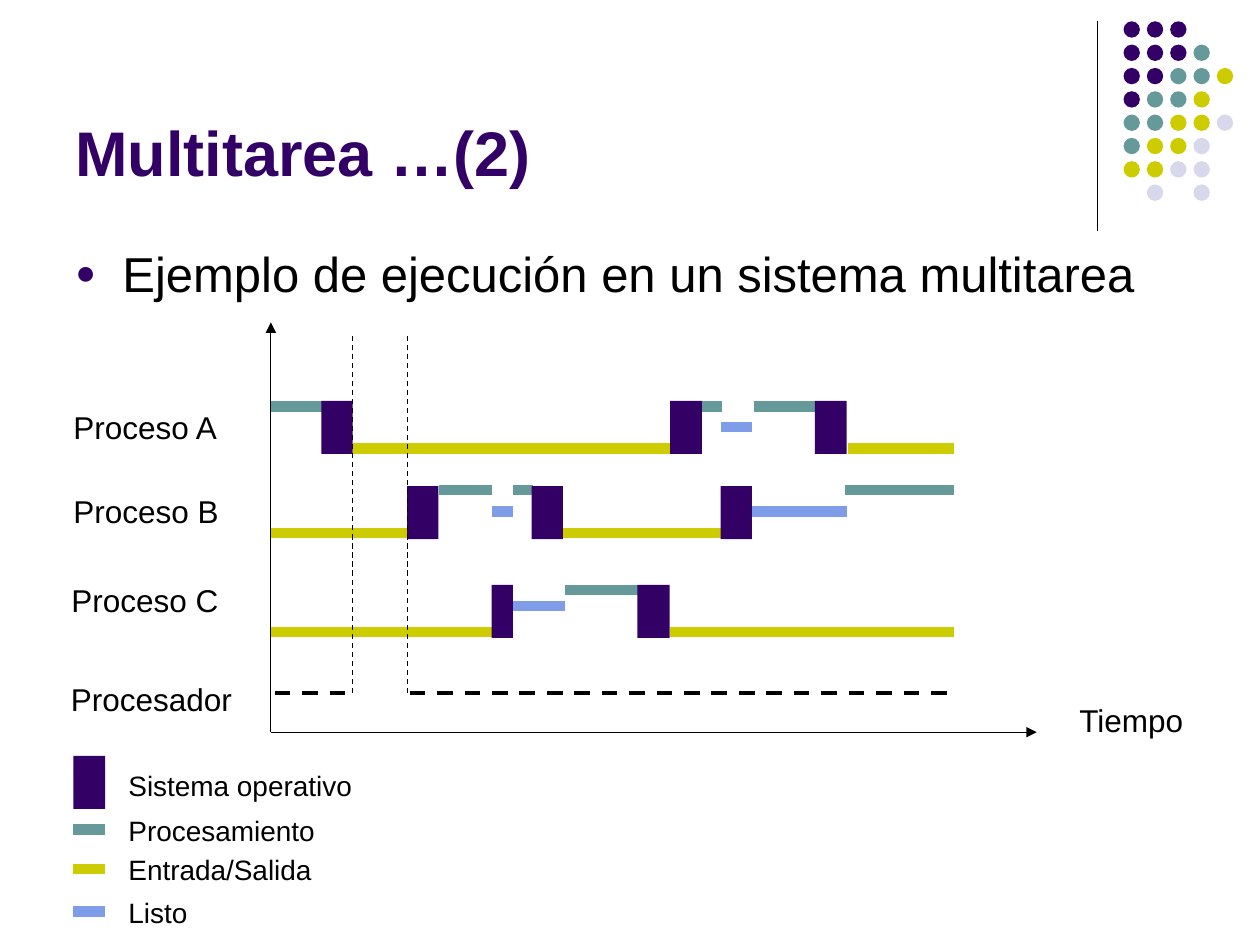
from lxml import etree
from pptx import Presentation
from pptx.dml.color import RGBColor
from pptx.enum.dml import MSO_LINE
from pptx.enum.shapes import MSO_CONNECTOR, MSO_SHAPE
from pptx.enum.text import MSO_ANCHOR, MSO_AUTO_SIZE
from pptx.oxml.ns import qn
from pptx.util import Cm, Pt

PURPLE = RGBColor(0x33, 0x00, 0x66)
TEAL = RGBColor(0x66, 0x99, 0x99)
OLIVE = RGBColor(0xCC, 0xCC, 0x00)
BLUE = RGBColor(0x7E, 0x9C, 0xE8)
LILAC = RGBColor(0xD8, 0xD8, 0xEC)
BLACK = RGBColor(0, 0, 0)

RECT, OVAL = MSO_SHAPE.RECTANGLE, MSO_SHAPE.OVAL
STRAIGHT, DASH = MSO_CONNECTOR.STRAIGHT, MSO_LINE.DASH
TOP, BOTTOM = MSO_ANCHOR.TOP, MSO_ANCHOR.BOTTOM
FIT_SHAPE = MSO_AUTO_SIZE.SHAPE_TO_FIT_TEXT

DOT_COLORS = {"p": PURPLE, "t": TEAL, "o": OLIVE, "l": LILAC}
DOT_ROWS = ["ppp", "pppt", "pptto", "ptto", "ttool", "tool", "ooll", " l l"]
DOT_SIZE, DOT_PITCH = 0.33, 0.47

OS, RUN, IO, READY = "os", "run", "io", "ready"
STATE_COLORS = {RUN: TEAL, IO: OLIVE, READY: BLUE}
OS_WIDTH, OS_HEIGHT, BAR_WEIGHT = 0.64, 1.07, 6
AXIS_X, AXIS_Y, END_X = 5.46, 14.76, 19.23
GAP_START, GAP_END = 7.11, 8.21

# Each process: height of every state, then (state, start, end) over time
PROCESSES = [
    ({OS: 8.08, RUN: 8.2, READY: 8.61, IO: 9.04}, [
        (RUN, AXIS_X, 6.53), (OS, 6.48, GAP_START), (IO, GAP_START, 13.72),
        (OS, 13.51, 14.15), (RUN, 14.15, 14.55), (READY, 14.53, 15.16),
        (RUN, 15.19, 16.46), (OS, 16.43, 17.07), (IO, 17.09, END_X)]),
    ({OS: 9.8, RUN: 9.88, READY: 10.31, IO: 10.74}, [
        (IO, AXIS_X, GAP_END), (OS, GAP_END, 8.84), (RUN, 8.84, 9.91),
        (READY, 9.91, 10.34), (RUN, 10.34, 10.74), (OS, 10.72, 11.35),
        (IO, 11.35, 14.53), (OS, 14.53, 15.16), (READY, 15.16, 17.07),
        (RUN, 17.04, END_X)]),
    ({OS: 11.79, RUN: 11.89, READY: 12.22, IO: 12.74}, [
        (IO, AXIS_X, 9.91), (OS, 9.91, 10.34), (READY, 10.34, 11.38),
        (RUN, 11.38, 12.88), (OS, 12.85, 13.5), (IO, 13.51, END_X)]),
]
LABELS = [
    ("Tiempo", 21.51, 14.01, 2.7),
    ("Proceso A", 1.23, 8.11, 3.6),
    ("Proceso B", 1.23, 9.8, 3.6),
    ("Proceso C", 1.19, 11.58, 3.6),
    ("Procesador", 1.18, 13.59, 3.9),
]
LEGEND_X, LEGEND_TEXT_X = 1.48, 2.34
LEGEND = [("Procesamiento", RUN, 16.72, 4.4),
          ("Entrada/Salida", IO, 17.52, 4.4),
          ("Listo", READY, 18.37, 1.8)]


class SlideBuilder:
    def __init__(self, slide, font="Arial"):
        self.slide = slide
        self.font = font

    def shape(self, kind, x, y, w, h, color):
        sp = self.slide.shapes.add_shape(kind, Cm(x), Cm(y), Cm(w), Cm(h))
        sp.shadow.inherit = False
        sp.fill.solid()
        sp.fill.fore_color.rgb = color
        sp.line.fill.background()

    def line(self, x1, y1, x2, y2, color=BLACK, weight=0.75, dash=None, arrow=False):
        cn = self.slide.shapes.add_connector(STRAIGHT, Cm(x1), Cm(y1), Cm(x2), Cm(y2))
        cn.line.color.rgb = color
        cn.line.width = Pt(weight)
        if dash:
            cn.line.dash_style = dash
        if arrow:
            ln = cn._element.spPr.find(qn("a:ln"))
            etree.SubElement(ln, qn("a:tailEnd"), type="triangle")
        etree.SubElement(cn._element.spPr, qn("a:effectLst"))

    def text(self, text, x, y, w, h, size, color=BLACK, bold=False, wrap=False, anchor=TOP):
        sp = self.slide.shapes.add_textbox(Cm(x), Cm(y), Cm(w), Cm(h))
        tf = sp.text_frame
        tf.text = text
        tf.word_wrap = wrap
        tf.vertical_anchor = anchor
        if not wrap:
            tf.auto_size = FIT_SHAPE
        p = tf.paragraphs[0]
        font = p.runs[0].font
        font.name, font.size, font.bold = self.font, Pt(size), bold
        font.color.rgb = color
        return p

    def bullet(self, p, color, indent):
        pPr = p._p.get_or_add_pPr()
        pPr.set("marL", str(Cm(indent)))
        pPr.set("indent", str(-Cm(indent)))
        bu_color = etree.SubElement(pPr, qn("a:buClr"))
        etree.SubElement(bu_color, qn("a:srgbClr"), val=str(color))
        etree.SubElement(pPr, qn("a:buSzPct"), val="70000")
        etree.SubElement(pPr, qn("a:buFont"), typeface=self.font)
        etree.SubElement(pPr, qn("a:buChar"), char="●")

    def dots(self, x, y):
        for row, codes in enumerate(DOT_ROWS):
            for col, code in enumerate(codes):
                if code in DOT_COLORS:
                    self.shape(OVAL, x + col * DOT_PITCH, y + row * DOT_PITCH,
                               DOT_SIZE, DOT_SIZE, DOT_COLORS[code])

    def state(self, state, start, end, y):
        """Draw one period: a block for the operating system, else a thick bar."""
        if state == OS:
            self.shape(RECT, start, y, end - start, OS_HEIGHT, PURPLE)
        else:
            self.line(start, y, end, y, STATE_COLORS[state], BAR_WEIGHT)


def main():
    prs = Presentation()
    prs.slide_width, prs.slide_height = Cm(25.4), Cm(19.05)
    s = SlideBuilder(prs.slides.add_slide(prs.slide_layouts[6]))

    s.line(22.12, 0.43, 22.12, 4.65)
    s.dots(22.65, 0.43)
    s.text("Multitarea …(2)", 1.27, 0.33, 20.95, 3.61, 36, PURPLE,
           bold=True, wrap=True, anchor=BOTTOM)
    p = s.text("Ejemplo de ejecución en un sistema multitarea",
               1.27, 4.78, 22.86, 2.64, 28, wrap=True)
    p.space_before = Pt(7)
    s.bullet(p, PURPLE, 0.95)

    s.line(AXIS_X, AXIS_Y, AXIS_X, 6.5, arrow=True)
    s.line(AXIS_X, AXIS_Y, 20.9, AXIS_Y, arrow=True)
    for label, x, y, w in LABELS:
        s.text(label, x, y, w, 1.02, 18)

    for levels, periods in PROCESSES:
        for state, start, end in periods:
            s.state(state, start, end, levels[state])

    cpu_y = 13.97
    for start, end in [(5.54, 7.04), (8.26, 19.25)]:
        s.line(start, cpu_y, end, cpu_y, weight=2.25, dash=DASH)
    for x in (GAP_START, GAP_END):
        s.line(x, cpu_y, x, 6.78, dash=DASH)

    s.state(OS, LEGEND_X, LEGEND_X + OS_WIDTH, 15.24)
    s.text("Sistema operativo", LEGEND_TEXT_X, 15.37, 5.3, 0.94, 16)
    for label, state, y, w in LEGEND:
        s.state(state, LEGEND_X, LEGEND_X + OS_WIDTH, y)
        s.text(label, LEGEND_TEXT_X, y - 0.45, w, 0.94, 16)

    prs.save("out.pptx")


if __name__ == "__main__":
    main()
